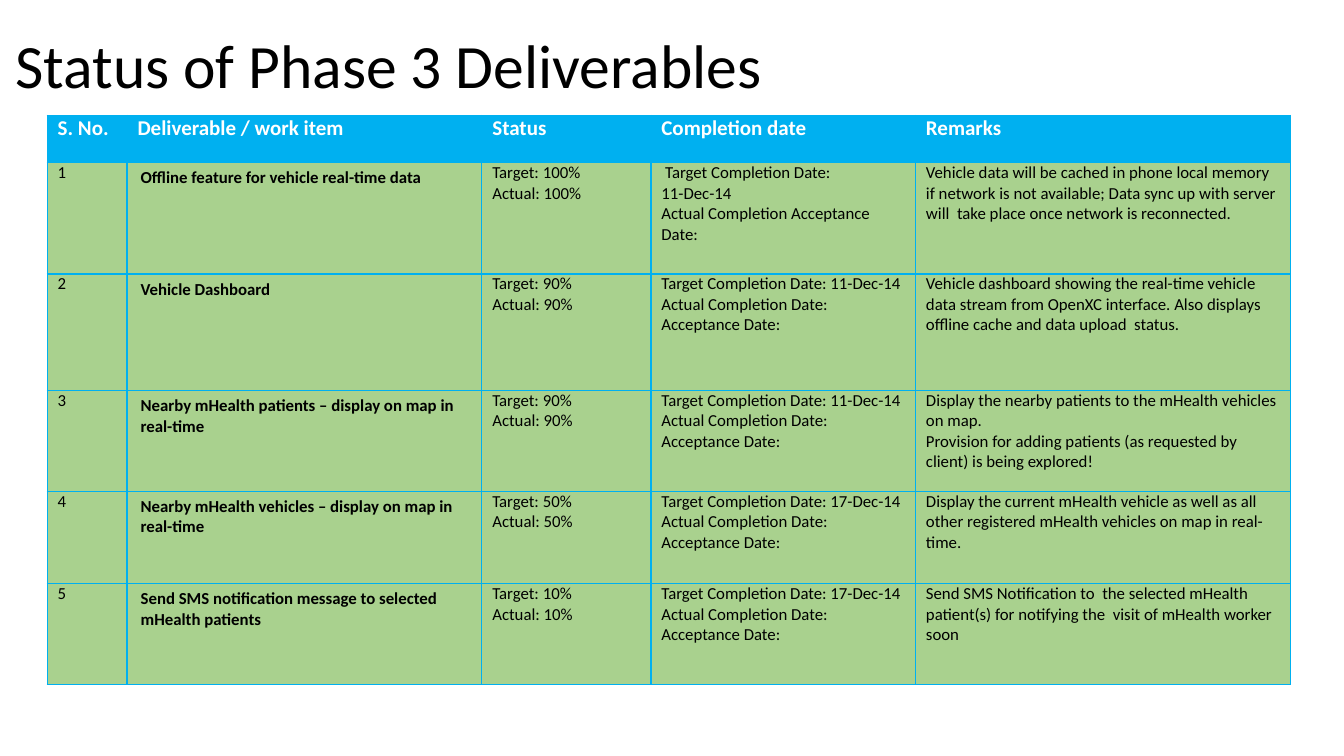
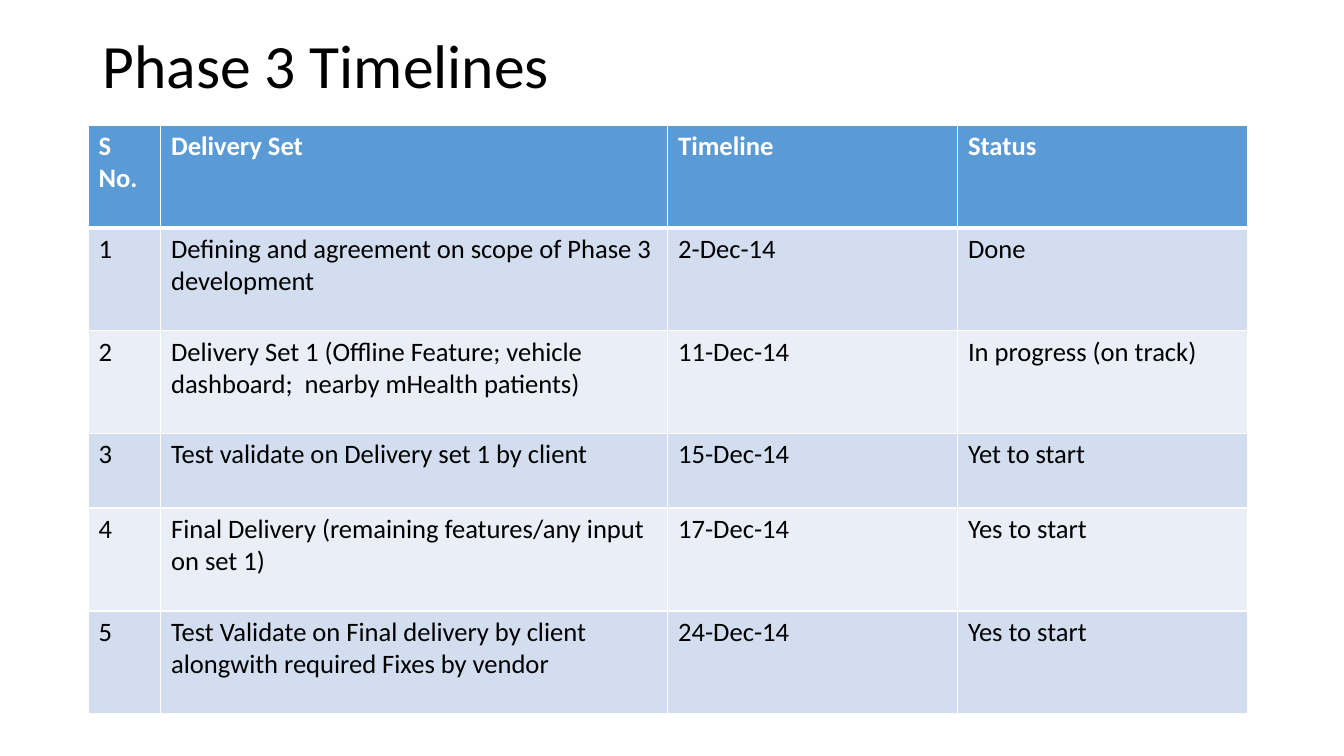
from lxml import etree
from pptx import Presentation
from pptx import util as u
from pptx.dml.color import RGBColor
from pptx.enum import text
from pptx.oxml import ns

PX = 9525
FONT = "Calibri"
BLACK = RGBColor(0x00, 0x00, 0x00)
WHITE = RGBColor(0xFF, 0xFF, 0xFF)
SKY = RGBColor(0x00, 0xB0, 0xF0)
GREEN = RGBColor(0xA9, 0xD1, 0x8E)
BLUE = RGBColor(0x5B, 0x9B, 0xD5)
PALE = RGBColor(0xD2, 0xDE, 0xEF)
PALER = RGBColor(0xEA, 0xEF, 0xF7)

DELIVERABLES_HEADER = ["S. No.", "Deliverable / work item", "Status", "Completion date", "Remarks"]
DELIVERABLES = [
    ("Offline feature for vehicle real-time data", "100%",
     " Target Completion Date:\n11-Dec-14\nActual Completion Acceptance Date:",
     "Vehicle data will be cached in phone local memory if network is not available; "
     "Data sync up with server will  take place once network is reconnected."),
    ("Vehicle Dashboard", "90%", "11-Dec-14",
     "Vehicle dashboard showing the real-time vehicle data stream from OpenXC interface. "
     "Also displays  offline cache and data upload  status."),
    ("Nearby mHealth patients – display on map in real-time", "90%", "11-Dec-14",
     "Display the nearby patients to the mHealth vehicles on map.\n"
     "Provision for adding patients (as requested by client) is being explored!"),
    ("Nearby mHealth vehicles – display on map in real-time", "50%", "17-Dec-14",
     "Display the current mHealth vehicle as well as all other registered mHealth vehicles "
     "on map in real-time."),
    ("Send SMS notification message to selected mHealth patients", "10%", "17-Dec-14",
     "Send SMS Notification to  the selected mHealth patient(s) for notifying the  "
     "visit of mHealth worker  soon"),
]

TIMELINE_HEADER = ["S No.", "Delivery Set", "Timeline", "Status"]
TIMELINE = [
    ("Defining and agreement on scope of Phase 3 development", "2-Dec-14", "Done"),
    ("Delivery Set 1 (Offline Feature; vehicle dashboard;  nearby mHealth patients)",
     "11-Dec-14", "In progress (on track)"),
    ("Test validate on Delivery set 1 by client", "15-Dec-14", "Yet to start"),
    ("Final Delivery (remaining features/any input on set 1)", "17-Dec-14", "Yes to start"),
    ("Test Validate on Final delivery by client alongwith required Fixes by vendor",
     "24-Dec-14", "Yes to start"),
]


class StatusDeck:
    def __init__(self):
        self.deck = Presentation()
        self.deck.slide_width = 1280 * PX
        self.deck.slide_height = 720 * PX
        self.page = None

    def add_page(self, title, left, width):
        self.page = self.deck.slides.add_slide(self.deck.slide_layouts[5])
        box = self.page.shapes.title
        box.left, box.top, box.width, box.height = left * PX, 5 * PX, width * PX, 120 * PX
        frame = box.text_frame
        frame.text = title
        frame.word_wrap = True
        frame.vertical_anchor = text.MSO_ANCHOR.MIDDLE
        para = frame.paragraphs[0]
        para.alignment = text.PP_ALIGN.LEFT
        para.line_spacing = 0.9
        self.style(para, 44, BLACK)

    def style(self, para, size, color, bold=False):
        for span in para.runs:
            span.font.name = FONT
            span.font.size = u.Pt(size)
            span.font.bold = bold
            span.font.color.rgb = color

    def add_table(self, left, top, widths, heights, rows):
        frame = self.page.shapes.add_table(
            len(heights), len(widths), left * PX, top * PX, sum(widths) * PX, sum(heights) * PX)
        table = frame.table
        table.horz_banding = False
        for column, width in zip(table.columns, widths):
            column.width = width * PX
        for row, height in zip(table.rows, heights):
            row.height = height * PX
        for r, values in enumerate(rows):
            for c, value in enumerate(values):
                table.cell(r, c).text_frame.text = value
        return table

    def format_cell(self, cell, fill, size, color, bold, margins):
        cell.fill.solid()
        cell.fill.fore_color.rgb = fill
        side, edge = margins
        cell.margin_left = cell.margin_right = side * PX
        cell.margin_top = cell.margin_bottom = edge * PX
        for para in cell.text_frame.paragraphs:
            self.style(para, size, color, bold)

    def border_cell(self, cell, color, top=1, bottom=1):
        properties = cell._tc.get_or_add_tcPr()
        sides = [("lnL", 1), ("lnR", 1), ("lnT", top), ("lnB", bottom)]
        for index, (side, points) in enumerate(sides):
            line = etree.Element(ns.qn("a:" + side), w=str(u.Pt(points)))
            fill = etree.SubElement(line, ns.qn("a:solidFill"))
            etree.SubElement(fill, ns.qn("a:srgbClr"), val=str(color))
            properties.insert(index, line)

    def add_deliverables(self):
        rows = [DELIVERABLES_HEADER]
        for number, (item, share, date, remark) in enumerate(DELIVERABLES, 1):
            if "\n" not in date:
                date = f"Target Completion Date: {date}\nActual Completion Date:\nAcceptance Date:"
            rows.append([str(number), item, f"Target: {share}\nActual: {share}", date, remark])
        table = self.add_table(45, 110, [76, 338, 161, 252, 357], [45, 106, 111, 96, 88, 96], rows)
        for r in range(len(rows)):
            for c in range(len(rows[0])):
                cell = table.cell(r, c)
                if r == 0:
                    self.format_cell(cell, SKY, 15, WHITE, True, (10, 0))
                else:
                    item = c == 1
                    self.format_cell(cell, GREEN, 12, BLACK, item, (13, 5) if item else (10, 0))
                self.border_cell(cell, SKY)

    def add_timeline(self):
        rows = [TIMELINE_HEADER]
        rows += [[str(number), *entry] for number, entry in enumerate(TIMELINE, 1)]
        table = self.add_table(84, 119, [69, 483, 276, 276], [98, 98, 98, 71, 98, 98], rows)
        for r in range(len(rows)):
            header = r == 0
            fill = BLUE if header else PALE if r % 2 else PALER
            for c in range(len(rows[0])):
                cell = table.cell(r, c)
                self.format_cell(cell, fill, 19, WHITE if header else BLACK, header, (10, 5))
                self.border_cell(cell, WHITE, 3 if r == 1 else 1, 3 if header else 1)

    def save(self):
        self.deck.save("out.pptx")


def main():
    report = StatusDeck()
    report.add_page("Status of Phase 3 Deliverables", 5, 1270)
    report.add_deliverables()
    report.add_page("Phase 3 Timelines", 88, 1104)
    report.add_timeline()
    report.save()


if __name__ == "__main__":
    main()
